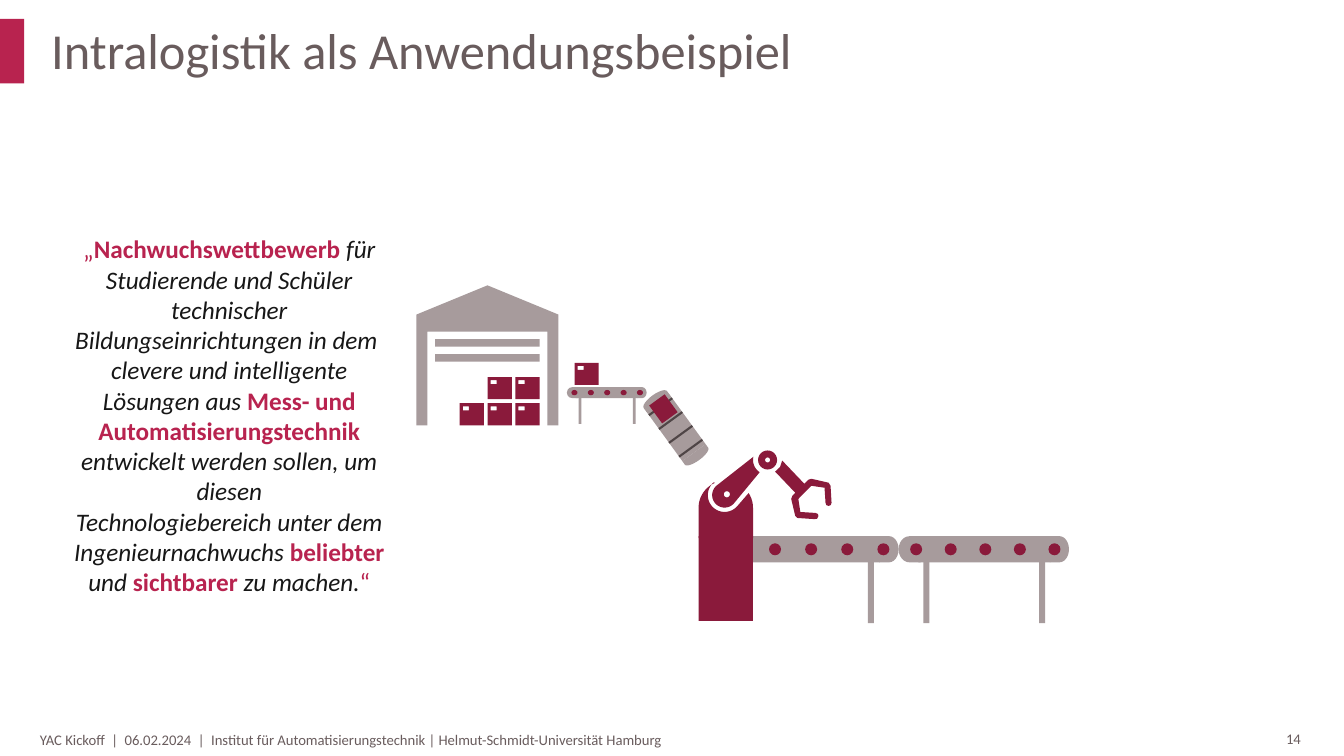
from math import cos, radians, sin

from lxml import etree
from pptx import Presentation
from pptx.dml.color import RGBColor
from pptx.enum.shapes import MSO_CONNECTOR, MSO_SHAPE
from pptx.enum.text import MSO_ANCHOR, PP_ALIGN
from pptx.oxml.ns import qn
from pptx.util import Pt

RECT = MSO_SHAPE.RECTANGLE
OVAL = MSO_SHAPE.OVAL
DELAY = MSO_SHAPE.FLOWCHART_DELAY
STRAIGHT = MSO_CONNECTOR.STRAIGHT
LEFT, CENTER = PP_ALIGN.LEFT, PP_ALIGN.CENTER
TOP, MIDDLE = MSO_ANCHOR.TOP, MSO_ANCHOR.MIDDLE

PINK, WINE, GREY, DARK = "B8234F", "8A1A3B", "A79B9C", "4F4546"
TITLE_GREY, INK, WHITE = "695C5D", "171717", "FFFFFF"
STRONG = {"color": PINK, "bold": True}
PLAIN = {"color": INK, "italic": True}
MARK = {"color": PINK}
CRATE_W, CRATE_H = 17.3, 15.8


def rgb(color):
    return RGBColor.from_string(color)


def paint(shape, color):
    shape.shadow.inherit = False
    shape.fill.solid()
    shape.fill.fore_color.rgb = rgb(color)
    shape.line.fill.background()


def block(canvas, kind, x, y, w, h, color, turn=0):
    shape = canvas.add_shape(kind, Pt(x), Pt(y), Pt(w), Pt(h))
    shape.rotation = turn
    paint(shape, color)


def centred(canvas, kind, center, w, h, color, turn=0):
    block(canvas, kind, center[0] - w / 2, center[1] - h / 2, w, h, color, turn)


def outline(canvas, x, y, contours, color):
    """Fill closed contours given relative to x, y; inner contours are holes."""
    placed = [[(Pt(x + px), Pt(y + py)) for px, py in c] for c in contours]
    builder = canvas.build_freeform(*placed[0][0], scale=1.0)
    for number, contour in enumerate(placed):
        if number:
            builder.move_to(*contour[0])
        builder.add_line_segments(contour[1:], close=True)
    paint(builder.convert_to_shape(), color)


def arc(center, radius, start, end, steps=24):
    angles = [radians(start + (end - start) * i / steps) for i in range(steps + 1)]
    return [(center[0] + radius * cos(a), center[1] + radius * sin(a)) for a in angles]


def rectangle(x, y, w, h):
    return [(x, y), (x + w, y), (x + w, y + h), (x, y + h)]


def write(slide, box, paragraphs, size, align=LEFT, anchor=TOP, inset=7.2,
          wrap=True, spacing=None):
    """Each paragraph is a list of (text, run format) pairs."""
    frame = slide.shapes.add_textbox(*map(Pt, box)).text_frame
    frame.word_wrap, frame.vertical_anchor = wrap, anchor
    frame.margin_left = Pt(inset)
    for number, pieces in enumerate(paragraphs):
        paragraph = frame.add_paragraph() if number else frame.paragraphs[0]
        paragraph.alignment, paragraph.line_spacing = align, spacing
        for text, look in pieces:
            run = paragraph.add_run()
            run.text = text
            run.font.name, run.font.size = "Calibri", Pt(size)
            run.font.color.rgb = rgb(look["color"])
            run.font.bold = look.get("bold", False)
            run.font.italic = look.get("italic", False)


def header_and_footer(slide):
    grey = {"color": TITLE_GREY}
    write(slide, (911.5, 517.7, 34.6, 20), [[("14", grey)]], 10.5, wrap=False)
    footer = ("YAC Kickoff  |  06.02.2024  |  Institut für Automatisierungstechnik"
              " | Helmut-Schmidt-Universität Hamburg")
    write(slide, (0, 515.5, 960, 25.2), [[(footer, grey)]], 10.5,
          anchor=MIDDLE, inset=28.5)
    block(slide.shapes, RECT, 0, 13.5, 17.3, 46, PINK)
    write(slide, (29.5, 10.8, 818, 54.7),
          [[("Intralogistik als Anwendungsbeispiel", grey)]], 36,
          anchor=MIDDLE, spacing=0.9)


def quote(slide, box):
    write(slide, box, [
        [("„", MARK), ("Nachwuchswettbewerb ", STRONG),
         ("für Studierende und Schüler technischer Bildungseinrichtungen in dem ", PLAIN)],
        [("clevere und intelligente Lösungen aus ", PLAIN),
         ("Mess- und Automatisierungstechnik ", STRONG),
         ("entwickelt werden sollen, um diesen", PLAIN)],
        [("Technologiebereich unter dem Ingenieurnachwuchs ", PLAIN),
         ("beliebter ", STRONG), ("und ", PLAIN), ("sichtbarer ", STRONG),
         ("zu machen.", PLAIN), ("“", MARK)],
    ], 18, align=CENTER)


def conveyor(slide, x, y, belt, rollers, legs, cap_left=0):
    """belt: width, height, right cap; rollers: start, step, count, w, h;
    legs: offsets, w, h. Offsets count from the left edge of the belt."""
    canvas = slide.shapes.add_group_shape().shapes
    width, height, cap_right = belt
    start, step, count, roller_w, roller_h = rollers
    offsets, leg_w, leg_h = legs
    block(canvas, RECT, x, y, width, height, GREY)
    block(canvas, DELAY, x + width - 0.3, y, cap_right, height, GREY)
    if cap_left:
        block(canvas, DELAY, x - cap_left + 1.7, y, cap_left, height, GREY, 180)
    for i in range(count):
        block(canvas, OVAL, x + start + i * step, y + (height - roller_h) / 2,
              roller_w, roller_h, WINE)
    for offset in offsets:
        block(canvas, RECT, x + offset, y + height - 0.5, leg_w, leg_h, GREY)


def crate(canvas, x, y):
    outline(canvas, x, y, [rectangle(0, 0, CRATE_W, CRATE_H),
                           rectangle(2.2, 2.2, 4.3, 2.9)], WINE)


def warehouse(slide, x, y):
    canvas = slide.shapes.add_group_shape().shapes
    for slat_y in (38.4, 49.1):
        block(canvas, RECT, x + 13.4, y + slat_y, 74.7, 5.4, GREY)
    for column, row in ((2, 1), (1, 1), (2, 0), (1, 0), (0, 1)):
        crate(canvas, x + 31 + column * 19.9, y + 65.5 + row * 18.7)
    outline(canvas, x, y, [[
        (101.5, 100.1), (101.5, 20.9), (50.8, 0), (0, 20.9), (0, 100.1),
        (7.9, 100.1), (7.9, 33.1), (93.6, 33.1), (93.6, 100.1)]], GREY)


def chute(slide, center, length, width, tilt):
    canvas = slide.shapes.add_group_shape().shapes

    def at(along, across=0):
        c, s = cos(radians(tilt)), sin(radians(tilt))
        return (center[0] + along * c - across * s, center[1] + along * s + across * c)

    centred(canvas, RECT, center, length, width, GREY, tilt)
    centred(canvas, DELAY, at(length / 2 + 3.2), 6.5, width, GREY, tilt)
    centred(canvas, DELAY, at(-length / 2 - 3), 7.2, width, GREY, tilt + 180)
    for i in range(4):
        along = -18.6 + i * 12.2
        ends = at(along, width / 2) + at(along, -width / 2)
        slat = canvas.add_connector(STRAIGHT, *map(Pt, ends))
        slat.line.color.rgb, slat.line.width = rgb(DARK), Pt(1.5)
        etree.SubElement(slat.element.spPr, qn("a:effectLst"))
    centred(slide.shapes, RECT, at(-16.2, -0.7), 15.8, 13.7, WINE, tilt)


def robot(slide, x, y):
    canvas = slide.shapes
    shoulder, elbow, dome = (18.6, 31.9), (49.3, 6.8), (19.45, 41)
    # Body with a gap around the shoulder joint
    outline(canvas, x, y, [
        arc(dome, 19.45, 0, -33) + arc(shoulder, 12, 41, 231)
        + arc(dome, 19.45, 246, 180) + [(0, 62.6), (38.9, 62.6)]], WINE)
    # Upper arm and elbow
    outline(canvas, x, y, [
        arc(shoulder, 8.9, 231, 44) + arc(elbow, 10.4, 123, 193),
        arc((20.2, 31.3), 2.2, 0, 360)], WINE)
    outline(canvas, x, y, [arc(elbow, 6.8, 0, 360), arc(elbow, 1.8, 0, 360)], WINE)
    block(canvas, RECT, x, y + 61.2, 38.9, 60.5, WINE)
    # Forearm with gripper
    outline(canvas, x, y, [[
        (94.3, 25.2), (92.9, 23), (80.6, 20.2), (78.5, 20.9), (75.6, 23.8),
        (59.8, 7.2), (58.2, 11.8), (54.7, 15.1), (69.1, 30.2), (67, 32.4),
        (66.2, 34.6), (69.1, 46.8), (70.6, 48.2), (82.8, 49), (84.6, 48.8),
        (85.7, 46.8), (85.2, 45.3), (83.5, 44.6), (72.7, 43.9), (71.3, 34.6),
        (80.6, 25.2), (90, 26.6), (90.7, 37.4), (91.3, 39), (92.9, 39.6),
        (94.4, 39), (95, 37.4)]], WINE)


def main():
    deck = Presentation()
    deck.slide_width, deck.slide_height = Pt(960), Pt(540)
    slide = deck.slides.add_slide(deck.slide_layouts[6])
    header_and_footer(slide)
    # Robot between the two large conveyors
    block(slide.shapes, RECT, 502.6, 353.5, 31, 32.4, WHITE)
    large = (94.3, 18.7, 13.7)
    conveyor(slide, 534.2, 383, large, (15.1, 25.8, 4, 8.6, 8.6), ([85.7], 4.3, 44))
    robot(slide, 499, 321.8)
    conveyor(slide, 655.9, 383, large, (-5.8, 24.7, 5, 8.6, 8.6),
             ([3.6, 86.4], 4.3, 44), cap_left=15.8)
    # Warehouse, small conveyor and chute
    warehouse(slide, 297.4, 203.8)
    conveyor(slide, 411.1, 276.5, (44.6, 7.9, 6.5), (-2.9, 11.7, 5, 4.3, 3.8),
             ([2.2, 41], 2, 19), cap_left=7.9)
    crate(slide.shapes, 410.4, 259.2)
    chute(slide, (482.8, 305.6), 43.9, 20.6, 54)
    quote(slide, (43.9, 163.4, 239.8, 269.3))
    deck.save("out.pptx")


if __name__ == "__main__":
    main()
